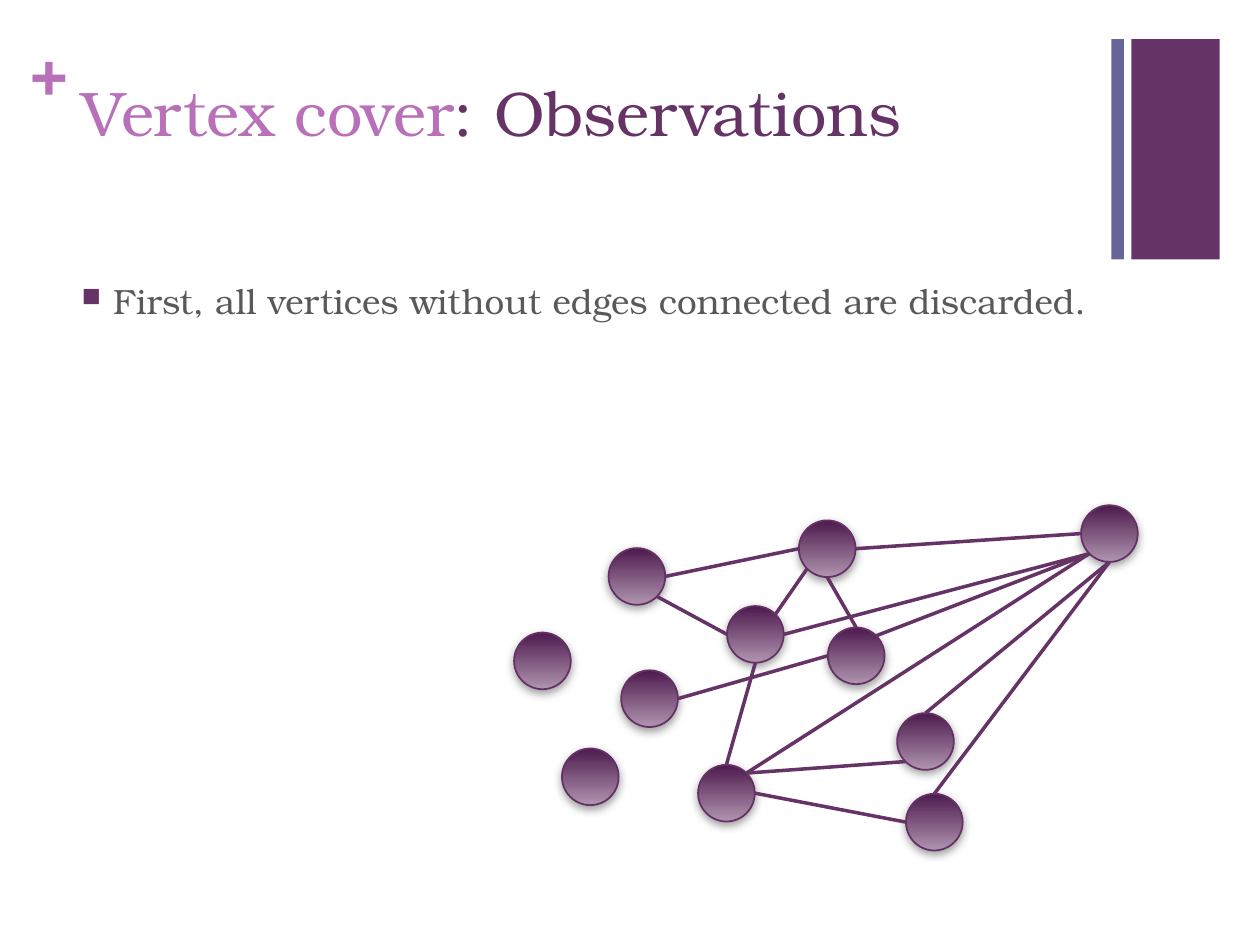
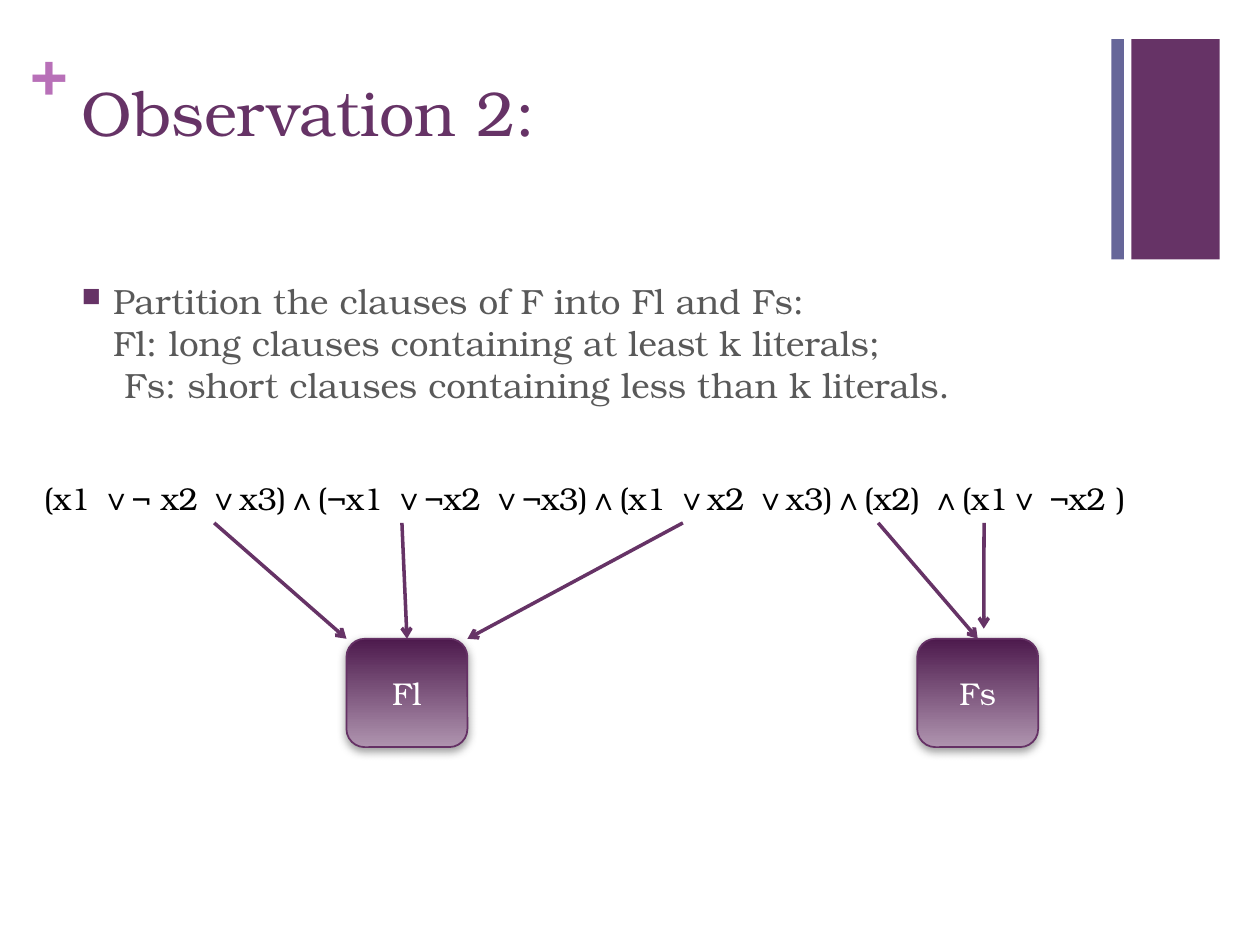
from collections import namedtuple
from math import cos, radians, sin

from lxml import etree
from pptx import Presentation
from pptx.dml.color import RGBColor
from pptx.enum.shapes import MSO_CONNECTOR, MSO_SHAPE
from pptx.enum.text import MSO_ANCHOR, MSO_AUTO_SIZE, PP_ALIGN
from pptx.oxml.ns import qn
from pptx.util import Inches, Pt

STRAIGHT = MSO_CONNECTOR.STRAIGHT
RECT, OVAL, ROUNDED = MSO_SHAPE.RECTANGLE, MSO_SHAPE.OVAL, MSO_SHAPE.ROUNDED_RECTANGLE
TOP, MIDDLE = MSO_ANCHOR.TOP, MSO_ANCHOR.MIDDLE
LEFT, CENTER = PP_ALIGN.LEFT, PP_ALIGN.CENTER
NO_FIT, GROW = MSO_AUTO_SIZE.NONE, MSO_AUTO_SIZE.SHAPE_TO_FIT_TEXT

FONT = "TeX Gyre Bonum"
PLUM, ORCHID, SLATE = "663366", "B870B8", "666699"
GREY, BLACK, WHITE = "595959", "000000", "FFFFFF"
GRADIENT, OUTLINE, SHADOW = ("4D1A4D", "AF94AF"), "653165", "808080"

WIDTH, HEIGHT = Inches(10), Inches(7.5)
COLUMNS = 100
UNIT = WIDTH / COLUMNS

NODE = 4.5
NODES = {
    "hub": (45, 0), "north": (22.6, 1.2), "west": (7.5, 3.4),
    "centre": (16.9, 8), "east": (24.9, 9.7), "inner": (8.5, 13.1),
    "lower": (30.4, 16.5), "south": (14.6, 20.6), "bottom": (31.1, 22.9),
    "lone_left": (0, 10.1), "lone_low": (3.8, 19.3),
}
COMPASS = {"E": 0, "SE": 45, "S": 90, "SW": 135, "W": 180, "N": 270, "NE": 315}
EDGES = [
    ("hub", "W", "north", "E"), ("hub", "SW", "east", "NE"),
    ("hub", "S", "lower", "N"), ("hub", "S", "bottom", "N"),
    ("hub", "SW", "centre", "E"), ("centre", "NE", "north", "SW"),
    ("east", "N", "north", "S"), ("centre", "W", "west", "SE"),
    ("centre", "S", "south", "N"), ("bottom", "W", "south", "E"),
    ("east", "W", "inner", "E"), ("lower", "SW", "south", "NE"),
    ("hub", "SW", "south", "NE"), ("north", "W", "west", "E"),
]


class Box(namedtuple("Box", "x y w h")):
    """A region measured in grid columns and rows."""

    def within(self, x, y, w, h):
        """Return a region offset from this one's corner."""
        return Box(self.x + x, self.y + y, w, h)

    def emu(self):
        """Return the region as slide lengths."""
        return [round(value * UNIT) for value in self]


BANDS = Box(88.2, 3.1, 8.6, 17.5)
PLUS = Box(2.4, 2.5, 2.9, 6.1)
TITLE = Box(5.5, 5.3, 82.6, 12.2)
BODY = Box(5.5, 21.7, 82.6, 45.3)
GRAPH = Box(40.8, 40.1, 49.5, 27.4)
FORMULA = Box(0, 37.5, 100, 4)
PARTITION = Box(17, 41.5, 65.4, 17.8)


def colour(code):
    """Turn a hex string into a colour."""
    return RGBColor.from_string(code)


def add_run(paragraph, words, size, code, bold=False):
    """Add one formatted run."""
    run = paragraph.add_run()
    run.text = words
    run.font.name, run.font.size, run.font.bold = FONT, Pt(size), bold
    run.font.color.rgb = colour(code)


def add_text(slide, box, fit=NO_FIT):
    """Add a wrapping text box and return its frame."""
    frame = slide.shapes.add_textbox(*box.emu()).text_frame
    frame.word_wrap, frame.auto_size = True, fit
    return frame


def indent(paragraph, left, first):
    """Set the left margin and first-line indent in inches."""
    props = paragraph._p.get_or_add_pPr()
    props.set("marL", str(Inches(left)))
    props.set("indent", str(Inches(first)))
    return props


def add_band(slide, box, code):
    """Add a plain filled band."""
    band = slide.shapes.add_shape(RECT, *box.emu())
    band.shadow.inherit = False
    band.fill.solid()
    band.fill.fore_color.rgb = colour(code)
    band.line.fill.background()


def add_glossy(slide, kind, box):
    """Add a shape with the plum gradient and soft shadow."""
    shape = slide.shapes.add_shape(kind, *box.emu())
    shape.fill.gradient()
    shape.fill.gradient_angle = 270
    for stop, code, position in zip(shape.fill.gradient_stops, GRADIENT, (0, 1)):
        stop.color.rgb, stop.position = colour(code), position
    shape.line.color.rgb, shape.line.width = colour(OUTLINE), Pt(1)
    shape.shadow.inherit = False
    effects = shape._element.spPr.find(qn("a:effectLst"))
    shade = etree.SubElement(effects, qn("a:outerShdw"), blurRad=str(Pt(5)),
                             dist=str(Pt(2)), dir="5400000", rotWithShape="0")
    tint = etree.SubElement(shade, qn("a:srgbClr"), val=SHADOW)
    etree.SubElement(tint, qn("a:alpha"), val="75000")
    return shape


def add_line(slide, start, end, arrow=False):
    """Draw a plum connector between two grid points."""
    line = slide.shapes.add_connector(
        STRAIGHT, *(round(value * UNIT) for value in (*start, *end)))
    line.line.color.rgb, line.line.width = colour(PLUM), Pt(2)
    if arrow:
        etree.SubElement(line.line._get_or_add_ln(), qn("a:tailEnd"), type="arrow")
    etree.SubElement(line._element.spPr, qn("a:effectLst"))
    return line


def add_base(deck, heading):
    """Add a slide with bands, plus sign and title."""
    slide = deck.slides.add_slide(deck.slide_layouts[5])
    add_band(slide, BANDS.within(1.6, 0, 7, BANDS.h), PLUM)
    plus = add_text(slide, PLUS, GROW)
    plus.margin_left = plus.margin_right = plus.margin_top = plus.margin_bottom = 0
    add_run(plus.paragraphs[0], "+", 36, ORCHID, True)
    add_band(slide, BANDS.within(0, 0, 1, BANDS.h), SLATE)
    title = slide.shapes.title
    title.left, title.top, title.width, title.height = TITLE.emu()
    frame = title.text_frame
    frame.vertical_anchor, frame.auto_size, frame.word_wrap = TOP, NO_FIT, True
    frame.paragraphs[0].alignment = LEFT
    for words, code in heading:
        add_run(frame.paragraphs[0], words, 36, code)
    return slide


def add_bullet(slide, box, lines):
    """Write one square-bulleted paragraph with line breaks."""
    paragraph = add_text(slide, box).paragraphs[0]
    props = indent(paragraph, 0.25, -0.25)
    tint = etree.SubElement(props, qn("a:buClr"))
    etree.SubElement(tint, qn("a:srgbClr"), val=PLUM)
    etree.SubElement(props, qn("a:buSzPct"), val="75000")
    etree.SubElement(props, qn("a:buChar"), char="■")
    for number, words in enumerate(lines):
        if number:
            paragraph.add_line_break()
        add_run(paragraph, words, 20, GREY)


def add_graph(slide, box):
    """Draw the vertices and the edges between their rims."""
    places = {name: box.within(x, y, NODE, NODE) for name, (x, y) in NODES.items()}
    for place in places.values():
        add_glossy(slide, OVAL, place)

    def rim(name, side):
        """Return the point on a vertex facing a compass side."""
        place, angle = places[name], radians(COMPASS[side])
        radius = NODE / 2
        return (place.x + radius * (1 + cos(angle)),
                place.y + radius * (1 + sin(angle)))

    for source, leaving, target, arriving in EDGES:
        add_line(slide, rim(source, leaving), rim(target, arriving))


def add_formula(slide, box):
    """Write the clauses across the slide."""
    paragraph = add_text(slide, box, GROW).paragraphs[0]
    indent(paragraph, 0.25, 0)
    add_run(paragraph, "(x1 ∨¬ x2 ∨x3)∧(¬x1 ∨¬x2 ∨¬x3)∧(x1 ∨x2 ∨x3)∧(x2) ∧(x1∨ ¬x2 )",
            18, BLACK)


def add_partition(slide, box):
    """Draw the two clause sets and the arrows into them."""
    sets, spots = {}, {}
    for name, x in (("Fl", 10.5), ("Fs", 55.8)):
        spots[name] = box.within(x, 9.2, 9.6, 8.6)
        sets[name] = add_glossy(slide, ROUNDED, spots[name])
        frame = sets[name].text_frame
        frame.vertical_anchor = MIDDLE
        frame.paragraphs[0].alignment = CENTER
        add_run(frame.paragraphs[0], name, 18, WHITE)
    arrows = [(0, "Fl", 0, 0), (14.9, "Fl", 0.5, 0), (37.2, "Fl", 1, 0),
              (52.7, "Fs", 0.5, 0), (61.1, "Fs", 0.55, 0.8)]
    for x, name, share, gap in arrows:
        spot = spots[name]
        end = (spot.x + share * spot.w, spot.y - gap)
        arrow = add_line(slide, (box.x + x, box.y), end, True)
        if share == 0.5:
            arrow.end_connect(sets[name], 0)


def main():
    """Build and save the two slides."""
    deck = Presentation()
    deck.slide_width, deck.slide_height = WIDTH, HEIGHT

    vertices = add_base(deck, [("Vertex cover", ORCHID), (": Observations", PLUM)])
    add_bullet(vertices, BODY, ["First, all vertices without edges connected are discarded."])
    add_graph(vertices, GRAPH)

    clauses = add_base(deck, [("Observation 2:", PLUM)])
    add_bullet(clauses, BODY, ["Partition the clauses of F into Fl and Fs:",
                               "Fl: long clauses containing at least k literals;",
                               " Fs: short clauses containing less than k literals."])
    add_formula(clauses, FORMULA)
    add_partition(clauses, PARTITION)
    deck.save("out.pptx")


if __name__ == "__main__":
    main()
